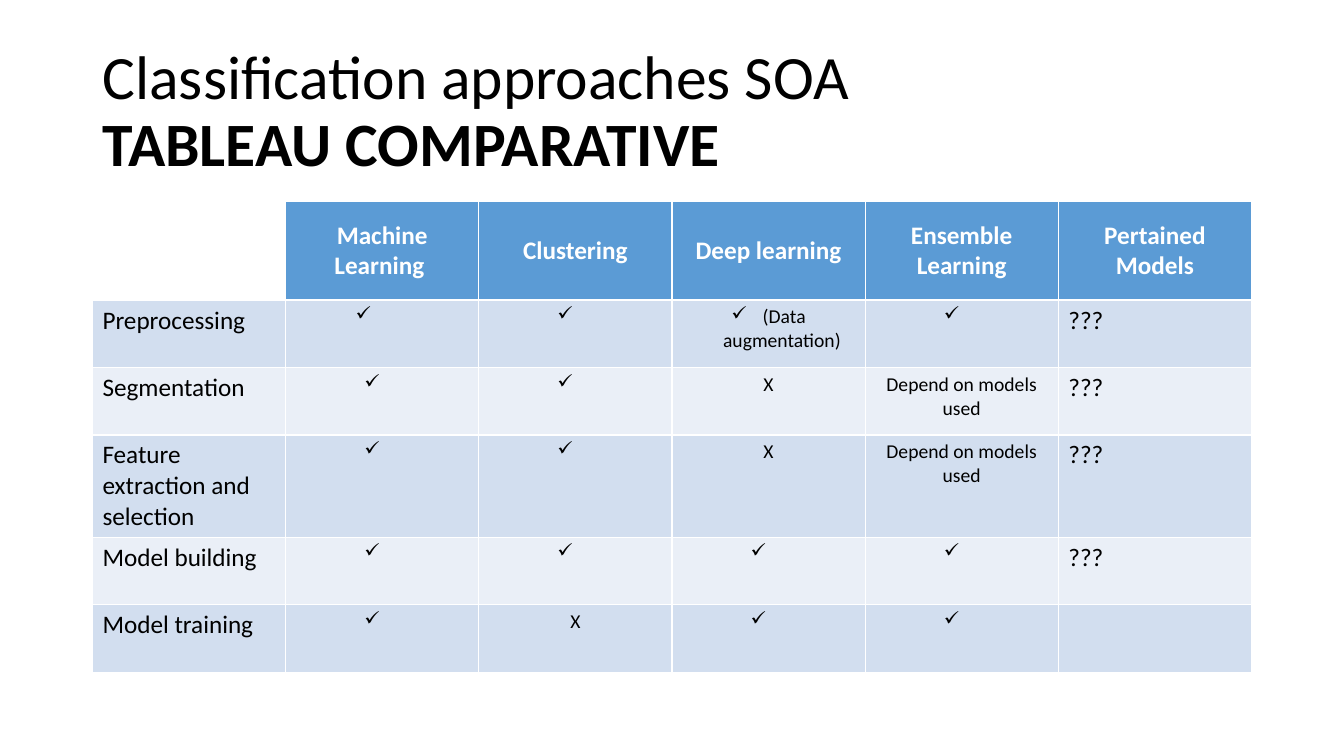
"""Build the slide comparing classification approaches."""
from dataclasses import dataclass

from lxml import etree
from pptx import Presentation
from pptx import util as u
from pptx.dml.color import RGBColor
from pptx.enum import text
from pptx.oxml import ns

FONT = "Calibri"
BLACK = RGBColor(0x00, 0x00, 0x00)
WHITE = RGBColor(0xFF, 0xFF, 0xFF)
BLUE = RGBColor(0x5B, 0x9B, 0xD5)
BANDS = (RGBColor(0xD2, 0xDE, 0xEF), RGBColor(0xEA, 0xEF, 0xF7))

LEFT, WIDTH = u.Cm(2.33), u.Cm(29.21)
HEADER_HEIGHT, ROW_HEIGHT = u.Cm(2.48), u.Cm(1.7)
HANGING = u.Cm(0.79)
CHECK = "✓"


@dataclass(frozen=True)
class Step:
    name: str
    marks: tuple[str, ...]
    pretrained: str = "???"


APPROACHES = ("Machine Learning ", "Clustering", "Deep learning",
              "Ensemble Learning", "Pertained Models")
STEPS = (
    Step("Preprocessing", (CHECK, CHECK, CHECK + "(Data augmentation) ", CHECK)),
    Step("Segmentation", (CHECK, CHECK, "X", "Depend on models used")),
    Step("Feature extraction and selection",
         (CHECK, CHECK, "X", "Depend on models used")),
    Step("Model building", (CHECK,) * 4),
    Step("Model training", (CHECK, "X", CHECK, CHECK), ""),
)


def add_text(p, content: str, *, size: float = 18, bold: bool = False,
             color: RGBColor = BLACK, align=text.PP_ALIGN.LEFT) -> None:
    """Append a formatted run to a paragraph."""
    p.alignment = align
    r = p.add_run()
    r.text = content
    r.font.name = FONT
    r.font.size = u.Pt(size)
    r.font.bold = bold
    r.font.color.rgb = color


def add_check(p) -> None:
    """Give a paragraph a hanging check mark as its bullet."""
    pPr = p._p.get_or_add_pPr()
    pPr.set("marL", str(HANGING))
    pPr.set("indent", str(-HANGING))
    etree.SubElement(pPr, ns.qn("a:buChar")).set("char", CHECK)


def fill_cell(cell, color: RGBColor):
    """Fill a cell and return its first paragraph."""
    cell.fill.solid()
    cell.fill.fore_color.rgb = color
    return cell.text_frame.paragraphs[0]


def add_title(slide) -> None:
    """Place the two-line title."""
    sp = slide.shapes.title
    sp.left, sp.top, sp.width, sp.height = LEFT, u.Cm(1.01), WIDTH, u.Cm(3.68)
    tf = sp.text_frame
    tf.word_wrap = True
    tf.auto_size = text.MSO_AUTO_SIZE.NONE
    tf.vertical_anchor = text.MSO_ANCHOR.MIDDLE
    p = tf.paragraphs[0]
    p.line_spacing = 0.9
    add_text(p, "Classification approaches SOA", size=44)
    p.add_line_break()
    add_text(p, "TABLEAU COMPARATIVE", size=44, bold=True)


def add_comparison(slide) -> None:
    """Draw the table of steps against approaches."""
    table = slide.shapes.add_table(
        len(STEPS) + 1, len(APPROACHES) + 1, LEFT, u.Cm(5.08), WIDTH,
        HEADER_HEIGHT + ROW_HEIGHT * len(STEPS)).table
    table.rows[0].height = HEADER_HEIGHT
    table.cell(0, 0).fill.background()
    for col, approach in enumerate(APPROACHES, 1):
        cell = table.cell(0, col)
        cell.vertical_anchor = text.MSO_ANCHOR.MIDDLE
        add_text(fill_cell(cell, BLUE), approach, bold=True, color=WHITE,
                 align=text.PP_ALIGN.CENTER)

    for row, step in enumerate(STEPS, 1):
        table.rows[row].height = ROW_HEIGHT
        band = BANDS[(row - 1) % 2]
        add_text(fill_cell(table.cell(row, 0), band), step.name)
        for col, mark in enumerate(step.marks, 1):
            p = fill_cell(table.cell(row, col), band)
            add_text(p, mark.removeprefix(CHECK) or " ", size=14,
                     align=text.PP_ALIGN.CENTER)
            if mark.startswith(CHECK):
                add_check(p)
        p = fill_cell(table.cell(row, len(APPROACHES)), band)
        if step.pretrained:
            add_text(p, step.pretrained)
    table.cell(1, 1).margin_right = u.Cm(0.7)


def main() -> None:
    """Create and save the presentation."""
    prs = Presentation()
    prs.slide_width, prs.slide_height = u.Cm(33.87), u.Cm(19.05)
    slide = prs.slides.add_slide(prs.slide_layouts[5])
    add_title(slide)
    add_comparison(slide)
    prs.save("out.pptx")


if __name__ == "__main__":
    main()
